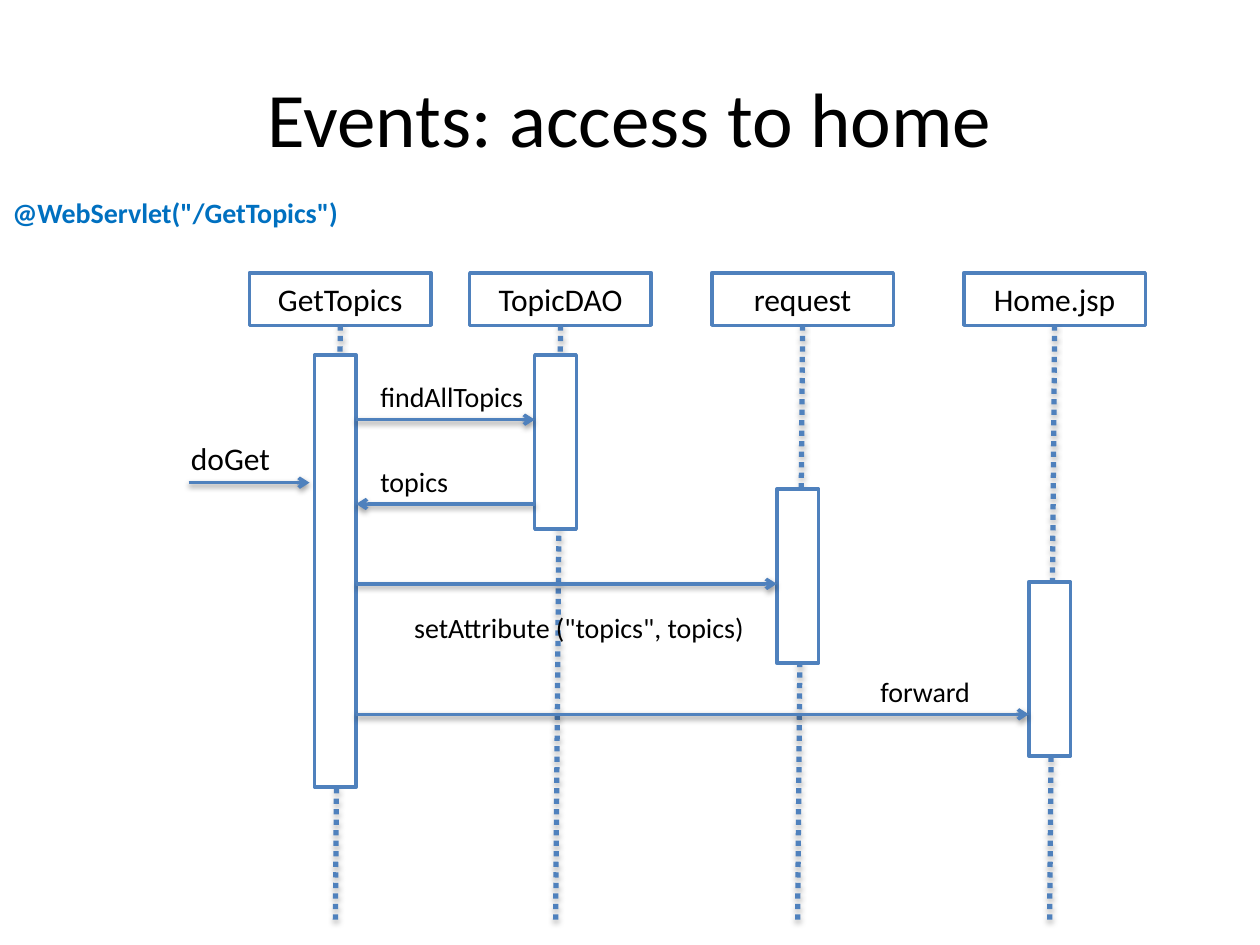
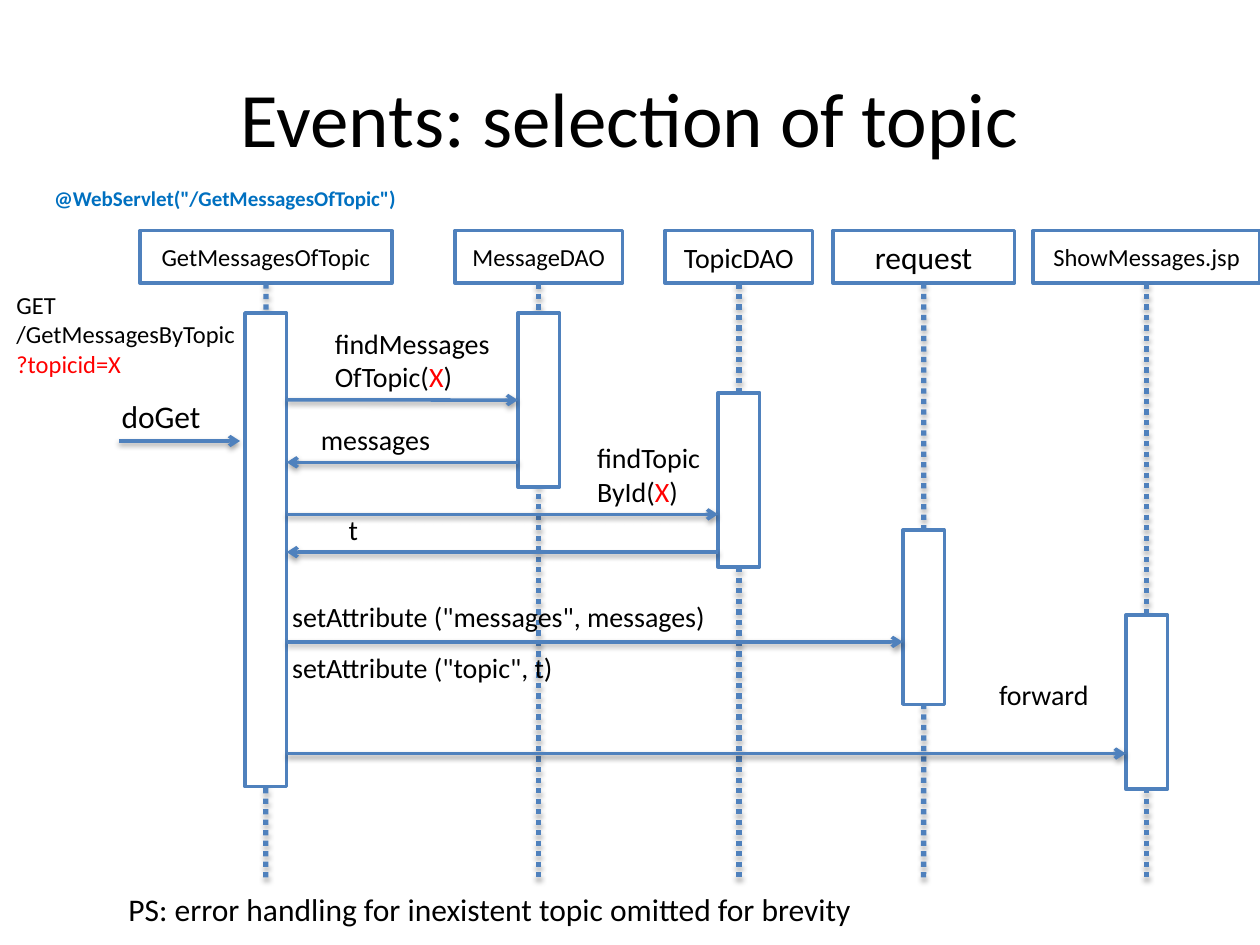
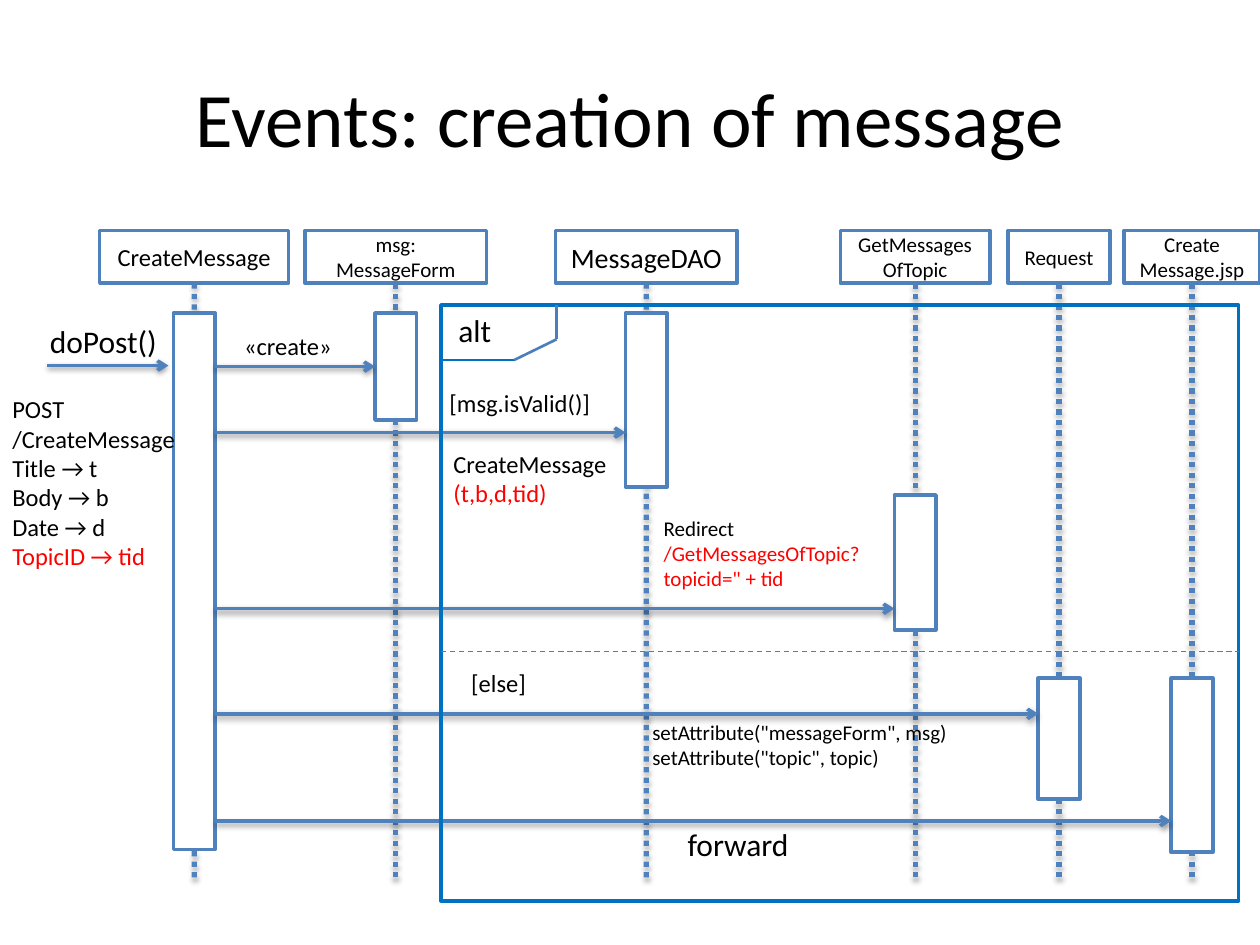
import pptx
import pptx.util
import pptx.dml.color
import pptx.enum.dml
import pptx.enum.shapes
import pptx.enum.text
from lxml import etree

Cm, Pt = pptx.util.Cm, pptx.util.Pt
RGBColor = pptx.dml.color.RGBColor
DASH = pptx.enum.dml.MSO_LINE
ALIGN = pptx.enum.text.PP_ALIGN
ANCHOR = pptx.enum.text.MSO_ANCHOR

BLACK = RGBColor(0x00, 0x00, 0x00)
WHITE = RGBColor(0xFF, 0xFF, 0xFF)
RED = RGBColor(0xFF, 0x00, 0x00)
BLUE = RGBColor(0x4F, 0x81, 0xBD)
EDGE_BLUE = RGBColor(0x4B, 0x7E, 0xBC)
BRIGHT_BLUE = RGBColor(0x00, 0x70, 0xC0)
FONT = "Calibri"
HEADER_WIDTH, HEADER_HEIGHT = 3.66, 1.06
BAR_WIDTH, BAR_HEIGHT, BAR_DROP = 0.84, 3.51, 0.6
CALL_LENGTH, CALL_GAP = 2.44, 0.1
A = "http://schemas.openxmlformats.org/drawingml/2006/main"


def add_text(s, text, left, top=None, width=None, height=None, bottom=None, size=16,
             color=BLACK, bold=False, spacing=1, boxed=False, fill=WHITE, line=BLUE):
    """Add a text box sized to its text, or a centred outlined box.

    Text between vertical bars is red; bottom may be given in place of top.
    """
    lines = text.split("\n")
    if width is None:
        width = max(len(words.strip("|")) for words in lines) * size * 0.0185 + 0.5
    if height is None:
        height = len(lines) * size * 0.0423 * spacing + 0.25
    if top is None:
        top = bottom - height
    frame = Cm(left), Cm(top), Cm(width), Cm(height)
    if boxed:
        sp = s.shapes.add_shape(pptx.enum.shapes.MSO_SHAPE.RECTANGLE, *frame)
        sp.shadow.inherit = False
        if fill is None:
            sp.fill.background()
        else:
            sp.fill.solid()
            sp.fill.fore_color.rgb = fill
        sp.line.color.rgb = line
        sp.line.width = Pt(2)
    else:
        sp = s.shapes.add_textbox(*frame)
    tf = sp.text_frame
    tf.word_wrap = True
    tf.vertical_anchor = ANCHOR.MIDDLE if boxed else ANCHOR.TOP
    for i, words in enumerate(lines):
        p = tf.add_paragraph() if i else tf.paragraphs[0]
        p.alignment = ALIGN.CENTER if boxed else ALIGN.LEFT
        if spacing != 1:
            p.line_spacing = spacing
        for j, piece in enumerate(words.split("|")):
            if piece:
                r = p.add_run()
                r.text = piece
                r.font.name = FONT
                r.font.size = Pt(size)
                r.font.bold = bold
                r.font.color.rgb = RED if j % 2 else color
    return sp


def add_line(s, x1, y1, x2, y2, color=BLUE, width=2, dash=None, arrow=False, shadow=None):
    """Add a straight line; shadow is (distance in EMU, opacity in percent)."""
    cn = s.shapes.add_connector(pptx.enum.shapes.MSO_CONNECTOR.STRAIGHT,
                                Cm(x1), Cm(y1), Cm(x2), Cm(y2))
    cn.line.color.rgb = color
    cn.line.width = Pt(width)
    if dash:
        cn.line.dash_style = dash
    props = cn._element.spPr
    if arrow:
        etree.SubElement(props.find(f"{{{A}}}ln"), f"{{{A}}}tailEnd", type="arrow")
    effects = etree.SubElement(props, f"{{{A}}}effectLst")
    if shadow:
        distance, opacity = shadow
        outer = etree.SubElement(effects, f"{{{A}}}outerShdw", blurRad="40000",
                                 dist=str(distance), dir="5400000", rotWithShape="0")
        black = etree.SubElement(outer, f"{{{A}}}srgbClr", val="000000")
        etree.SubElement(black, f"{{{A}}}alpha", val=str(opacity * 1000))
    return cn


# lifelines: name, size, header left, header width, then bar drop and bar height if special
# messages: from bar (None for outside), to bar, height on the slide, then label and its left
# notes: text, left, top, size, then format
DIAGRAMS = [
    dict(
        title="Events: access to home", top=5.5, foot=18.62, lean=-0.1, size=16,
        lifelines=[
            ("GetTopics", 18, 5.03, HEADER_WIDTH, BAR_DROP, 8.71),
            ("TopicDAO", 18, 9.47, HEADER_WIDTH),
            ("request", 18, 14.35, HEADER_WIDTH, 3.3),
            ("Home.jsp", 18, 19.43, HEADER_WIDTH, 5.17),
        ],
        messages=[
            (None, 0, 9.73, "doGet"),
            (0, 1, 8.46, "findAllTopics", 7.42),
            (1, 0, 10.16, "topics", 7.42),
            (0, 2, 11.77),
            (0, 3, 14.4, "forward", 17.5),
        ],
        notes=[
            ('setAttribute ("topics", topics)', 8.1, 12.19, 16, {}),
            ('@WebServlet("/GetTopics")', 0, 3.81, 16, dict(color=BRIGHT_BLUE, bold=True)),
        ],
    ),
    dict(
        title="Events: selection of topic", top=4.65, foot=17.78, lean=0, size=16,
        lifelines=[
            ("GetMessagesOfTopic", 14, 2.82, 5.08, BAR_DROP, 9.55),
            ("MessageDAO", 14, 9.17, 3.38),
            ("TopicDAO", 16, 13.41, 2.97, 2.21),
            ("request", 18, 16.79, HEADER_WIDTH, 4.98),
            ("ShowMessages.jsp", 14, 20.83, 4.57, 6.69),
        ],
        messages=[
            (None, 0, 8.89, "doGet"),
            (0, 1, 8.06, "findMessages\nOfTopic(|X|)", 6.5),
            (1, 0, 9.32, "messages", 6.22),
            (0, 2, 10.37, "findTopic\nById(|X|)", 11.79),
            (2, 0, 11.13, "t", 6.78),
            (0, 3, 12.94),
            (0, 4, 15.19),
        ],
        notes=[
            ('setAttribute ("messages", messages)\nsetAttribute ("topic", t)',
             5.64, 11.63, 16, dict(spacing=1.5)),
            ("forward", 19.89, 13.54, 16, {}),
            ("GET\n/GetMessagesByTopic\n|?topicid=X|", 0.08, 5.72, 14, {}),
            ('@WebServlet("/GetMessagesOfTopic")', 0.84, 3.61, 12,
             dict(color=BRIGHT_BLUE, bold=True)),
            ("PS: error handling for inexistent topic omitted for brevity",
             2.34, 17.81, 18, {}),
        ],
    ),
    dict(
        title="Events: creation of message", top=4.65, foot=17.78, lean=0, size=14,
        lifelines=[
            ("CreateMessage", 14, 2.01, 3.81, BAR_DROP, 10.82),
            ("msg:\nMessageForm", 12, 6.15, HEADER_WIDTH, BAR_DROP, 2.16),
            ("MessageDAO", 16, 11.2, HEADER_WIDTH),
            ("GetMessages\nOfTopic", 12, 16.94, 3.02, 4.27, 2.72),
            ("Request", 12, 20.32, 2.06, 7.96, 2.44),
            ("Create\nMessage.jsp", 12, 22.66, 2.74, 7.96),
        ],
        messages=[
            (None, 0, 7.37, "doPost()"),
            (0, 1, 7.39, "«create»", 4.67),
            (0, 2, 8.72),
            (0, 3, 12.27),
            (0, 4, 14.39),
            (0, 5, 16.55),
        ],
        notes=[
            ("alt", 8.99, 6.15, 18, {}),
            ("[msg.isValid()]", 8.81, 7.7, 14, {}),
            ("CreateMessage\n|(t,b,d,tid)|", 8.89, 8.92, 14, {}),
            ('Redirect\n|/GetMessagesOfTopic?|\n|topicid=" + tid|', 13.13, 10.26, 12, {}),
            ("POST\n/CreateMessage\nTitle → t\nBody → b\nDate → d\n|TopicID → tid|",
             0, 7.82, 14, {}),
            ("[else]", 9.25, 13.34, 14, {}),
            ('setAttribute("messageForm", msg)\nsetAttribute("topic", topic)',
             12.9, 14.38, 12, {}),
            ("forward", 13.61, 16.51, 18, {}),
        ],
    ),
]

prs = pptx.Presentation()
prs.slide_width, prs.slide_height = Cm(25.4), Cm(19.05)

for diagram in DIAGRAMS:
    s = prs.slides.add_slide(prs.slide_layouts[5])
    title = s.shapes.title
    title.left, title.top, title.width, title.height = Cm(1.27), Cm(0.76), Cm(22.86), Cm(3.18)
    tf = title.text_frame
    tf.text = diagram["title"]
    tf.vertical_anchor = ANCHOR.MIDDLE
    p = tf.paragraphs[0]
    p.alignment = ALIGN.CENTER
    p.runs[0].font.name = FONT
    p.runs[0].font.size = Pt(44)
    p.runs[0].font.color.rgb = BLACK

    bars = []
    top = diagram["top"]
    header_bottom = top + HEADER_HEIGHT
    for name, size, left, width, *special in diagram["lifelines"]:
        drop = special[0] if special else BAR_DROP
        height = special[1] if len(special) > 1 else BAR_HEIGHT
        middle = left + width / 2
        foot_x = middle + diagram["lean"]
        header = add_text(s, name, left, top, width, HEADER_HEIGHT, size=size, boxed=True)
        lifeline = add_line(s, middle, header_bottom, foot_x, diagram["foot"],
                            width=3, dash=DASH.ROUND_DOT, shadow=(23000, 35))
        lifeline.begin_connect(header, 2)
        bars.append(add_text(s, "", foot_x - BAR_WIDTH / 2, header_bottom + drop,
                             BAR_WIDTH, height, boxed=True))

    for source, target, y, *label in diagram["messages"]:
        bar = bars[target]
        bar_left = bar.left.cm
        if source is None:
            x2 = bar_left - CALL_GAP
            x1 = x2 - CALL_LENGTH
            label.append(x1 - 0.2)
        elif source < target:
            x1, x2 = bars[source].left.cm + BAR_WIDTH, bar_left
        else:
            x1, x2 = bars[source].left.cm, bar_left + BAR_WIDTH
        message = add_line(s, x1, y, x2, y, arrow=True, shadow=(20000, 38))
        bar_middle = bar.top.cm + bar.height.cm / 2
        if source is not None and source < target and abs(y - bar_middle) < 0.05:
            message.end_connect(bar, 1)
        if label:
            text, left = label
            add_text(s, text, left, bottom=y, size=18 if source is None else diagram["size"])

    for text, left, note_top, size, style in diagram["notes"]:
        add_text(s, text, left, note_top, size=size, **style)

# The "alt" frame of the last diagram, its divider and its corner tab
left, top, width, height = 8.89, 6.15, 16.08, 12.01
add_text(s, "", left, top, width, height, boxed=True, fill=None, line=BRIGHT_BLUE)
add_line(s, left, 13.13, left + width, 13.13, color=EDGE_BLUE, width=0.75, dash=DASH.DASH)
tab = [(left, 7.26), (10.36, 7.26), (11.22, 6.84), (11.22, top)]
for start, end, color in zip(tab, tab[1:], (BRIGHT_BLUE, EDGE_BLUE, EDGE_BLUE)):
    add_line(s, *start, *end, color=color, width=1.5)

prs.save("out.pptx")
